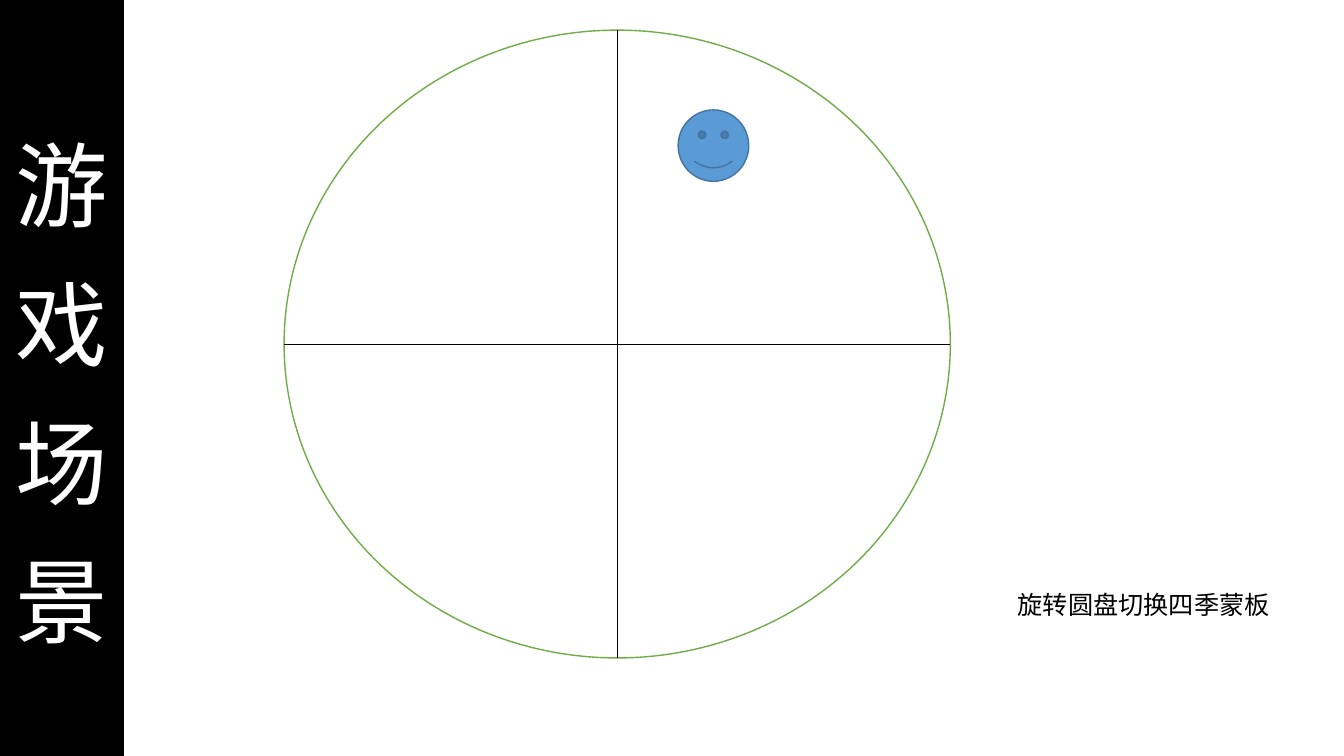
"""Build the game scene slide: a title banner and a four-season disc."""
from lxml import etree
from pptx import Presentation
from pptx import util as u
from pptx.dml import color
from pptx.enum import shapes, text
from pptx.oxml import ns

FONT = "Noto Sans CJK SC"
SCENE_TITLE = "游戏场景"
HINT = "旋转圆盘切换四季蒙板"
SLIDE = (33.87, 19.05)
BANNER = (0, 0, 3.1, 19.05)
DISC = (7.16, 0.76, 16.79, 15.82)
PLAYER = (17.09, 2.77, 1.78, 1.8)
HINT_BOX = (25.4, 14.71, 6.93, 1.02)


def rgb(code):
    return color.RGBColor.from_string(code)


def cm(values):
    return [u.Cm(value) for value in values]


def outline(part, code, width):
    part.line.color.rgb = rgb(code)
    part.line.width = u.Pt(width)


def paint(part, fill, line):
    part.fill.solid()
    part.fill.fore_color.rgb = rgb(fill)
    part.shadow.inherit = False
    outline(part, line, 1)


def style_text(frame, size, code):
    for paragraph in frame.paragraphs:
        for run in paragraph.runs:
            run.font.size = u.Pt(size)
            run.font.name = FONT
            run.font.color.rgb = rgb(code)
            east_asian = etree.SubElement(run.font._element, ns.qn("a:ea"))
            east_asian.set("typeface", FONT)


def add_banner(slide):
    banner = slide.shapes.title
    banner.left, banner.top, banner.width, banner.height = cm(BANNER)
    geometry = etree.SubElement(banner._element.spPr, ns.qn("a:prstGeom"), prst="roundRect")
    etree.SubElement(geometry, ns.qn("a:avLst"))
    paint(banner, "000000", "000000")
    frame = banner.text_frame
    frame.text = "\n".join(SCENE_TITLE)
    frame.auto_size = text.MSO_AUTO_SIZE.NONE
    frame.vertical_anchor = text.MSO_ANCHOR.MIDDLE
    for paragraph in frame.paragraphs:
        paragraph.alignment = text.PP_ALIGN.CENTER
        paragraph.line_spacing = 1.25
    style_text(frame, 66, "FFFFFF")


def add_disc(slide):
    disc = slide.shapes.add_shape(shapes.MSO_SHAPE.OVAL, *cm(DISC))
    paint(disc, "FFFFFF", "70AD47")
    left, top, width, height = DISC
    middle_x, middle_y = left + width / 2, top + height / 2
    dividers = [
        (middle_x, top, middle_x, top + height),
        (left, middle_y, left + width, middle_y),
    ]
    for ends in dividers:
        divider = slide.shapes.add_connector(shapes.MSO_CONNECTOR.STRAIGHT, *cm(ends))
        outline(divider, "000000", 0.5)
        etree.SubElement(divider._element.spPr, ns.qn("a:effectLst"))


def add_player(slide):
    player = slide.shapes.add_shape(shapes.MSO_SHAPE.SMILEY_FACE, *cm(PLAYER))
    paint(player, "5B9BD5", "43739E")


def add_hint(slide):
    frame = slide.shapes.add_textbox(*cm(HINT_BOX)).text_frame
    frame.text = HINT
    frame.word_wrap = False
    frame.vertical_anchor = text.MSO_ANCHOR.MIDDLE
    style_text(frame, 18, "000000")


def main():
    deck = Presentation()
    deck.slide_width, deck.slide_height = cm(SLIDE)
    slide = deck.slides.add_slide(deck.slide_layouts[5])
    slide.background.fill.solid()
    slide.background.fill.fore_color.rgb = rgb("FFFFFF")
    add_banner(slide)
    add_disc(slide)
    add_player(slide)
    add_hint(slide)
    deck.save("out.pptx")


if __name__ == "__main__":
    main()
